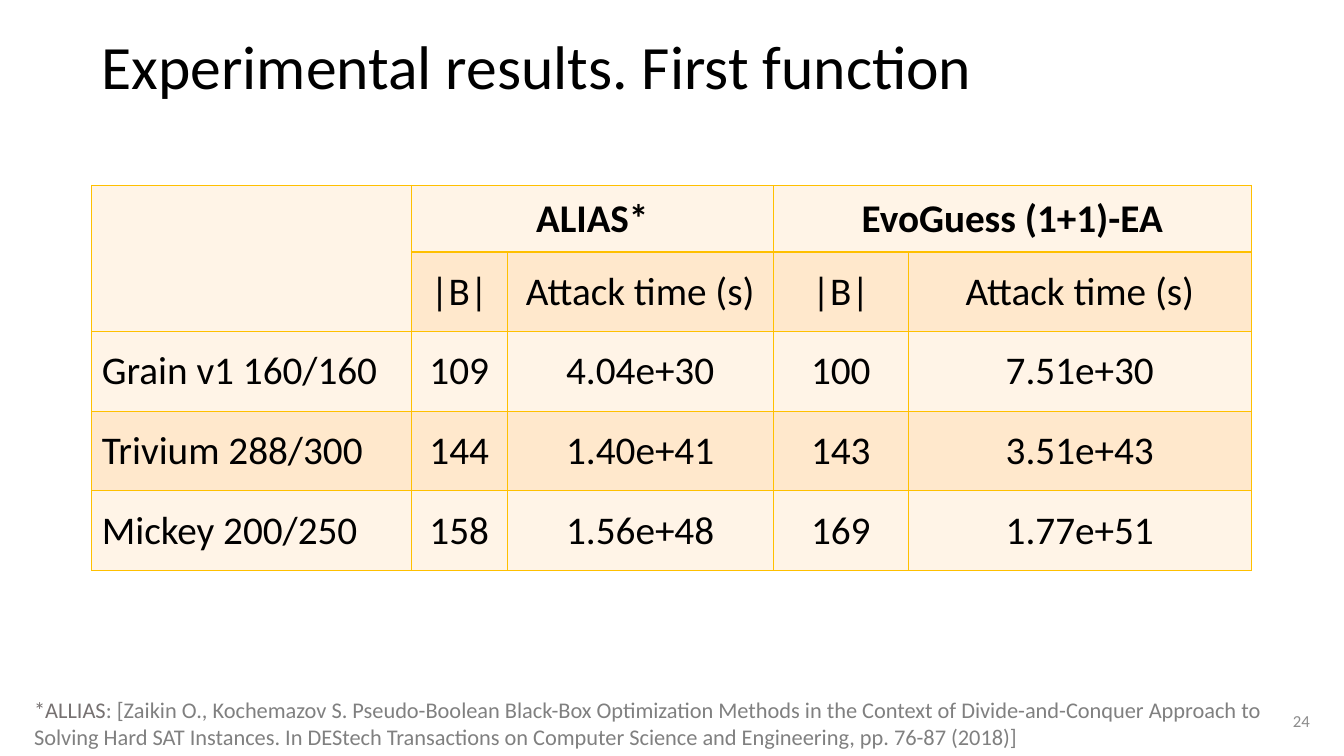
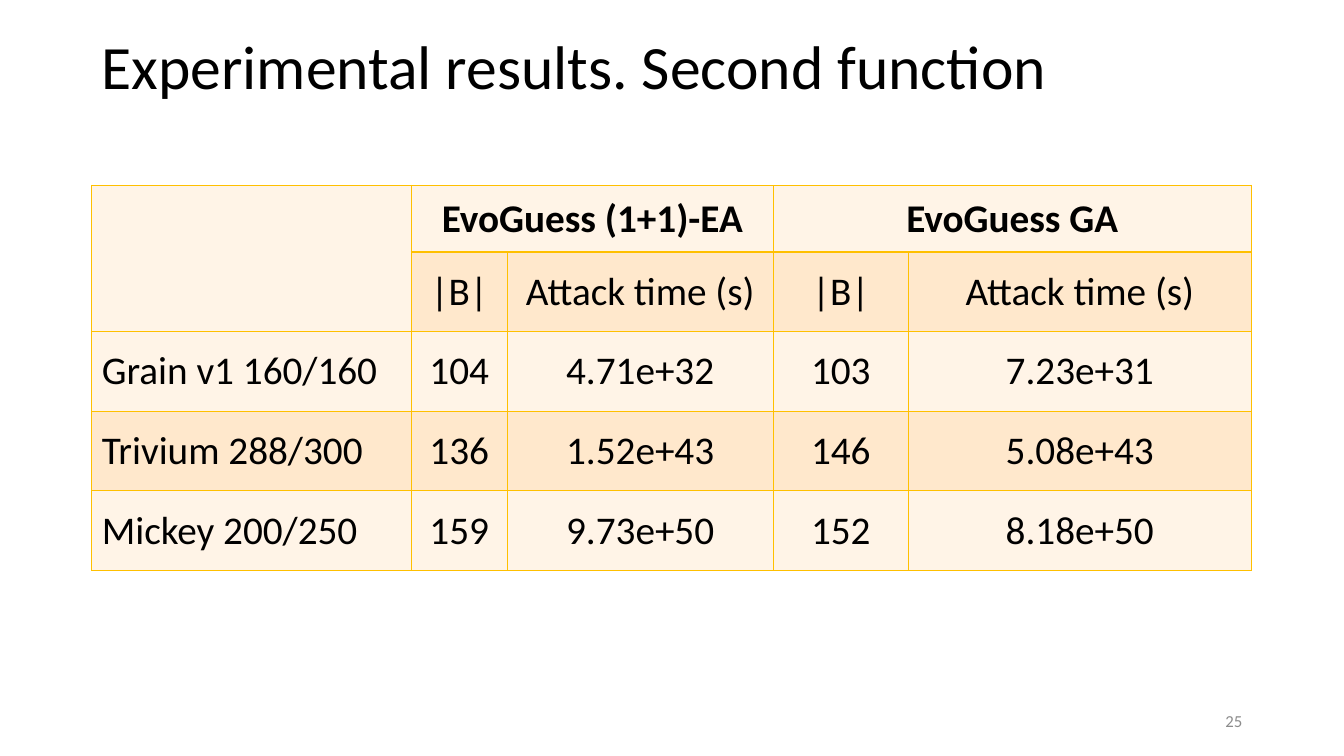
from lxml.etree import SubElement
from pptx import Presentation
from pptx.dml.color import RGBColor
from pptx.enum.text import MSO_ANCHOR, PP_ALIGN
from pptx.oxml.ns import qn
from pptx.util import Inches, Pt

# Content
NAMES = ["Grain v1 160/160", "Trivium 288/300", "Mickey 200/250"]
PAIR = ["|B|", "Attack time (s)"]
NOTE = [
    ("*ALLIAS", "note"),
    (": [Zaikin O., Kochemazov S. Pseudo-Boolean Black-Box Optimization "
     "Methods in the Context of Divide-and-Conquer Approach to Solving Hard "
     "SAT Instances. In DEStech Transactions on Computer Science and "
     "Engineering, pp. 76-87 (2018)]", "cite"),
]
SLIDES = [
    dict(title="Experimental results. First function", page="24", right=13.09,
         heads=["ALIAS*", "EvoGuess (1+1)-EA"], note=NOTE,
         data=[["109", "4.04e+30", "100", "7.51e+30"],
               ["144", "1.40e+41", "143", "3.51e+43"],
               ["158", "1.56e+48", "169", "1.77e+51"]]),
    dict(title="Experimental results. Second function", page="25", right=12.42,
         heads=["EvoGuess (1+1)-EA", "EvoGuess GA"], note=None,
         data=[["104", "4.71e+32", "103", "7.23e+31"],
               ["136", "1.52e+43", "146", "5.08e+43"],
               ["159", "9.73e+50", "152", "8.18e+50"]]),
]

# Shared style
FONT = "Calibri"
HEX = dict(text="000000", pale="FFF4E7", band="FFE8CC", rule="FFC000",
           page="8C8C8C", note="767171", cite="808080")
LEFT, WIDE = 0.91, 11.5
COLS = [3.17, 0.95, 2.64, 1.34, 3.4]
ROWS = [0.66] + [0.79] * 4


def color(key):
    return RGBColor.from_string(HEX[key])


def write(frame, text, size, tone="text", bold=False, align=PP_ALIGN.LEFT,
          space=None):
    """Fill a frame with a string or a list of (string, colour) runs."""
    frame.word_wrap = True
    para = frame.paragraphs[0]
    para.alignment = align
    if space:
        para.line_spacing = space
    for part, key in [(text, tone)] if isinstance(text, str) else text:
        run = para.add_run()
        run.text = part
        font = run.font
        font.name, font.size, font.bold = FONT, Pt(size), bold
        font.color.rgb = color(key)


def label(slide, box, text, size, anchor=MSO_ANCHOR.MIDDLE, **style):
    frame = slide.shapes.add_textbox(*map(Inches, box)).text_frame
    frame.vertical_anchor = anchor
    write(frame, text, size, **style)


def border(cell):
    props = cell._tc.get_or_add_tcPr()
    for side in "LRTB":
        line = SubElement(props, qn("a:ln" + side), w=str(Pt(1)))
        fill = SubElement(line, qn("a:solidFill"))
        SubElement(fill, qn("a:srgbClr"), val=HEX["rule"])


def results(slide, heads, data):
    grid = [["", heads[0], "", heads[1], ""], ["", *PAIR, *PAIR]]
    grid += [[name, *vals] for name, vals in zip(NAMES, data)]
    box = map(Inches, (LEFT, 1.84, WIDE, sum(ROWS)))
    table = slide.shapes.add_table(len(ROWS), len(COLS), *box).table
    table.first_row = table.horz_banding = False
    for col, width in zip(table.columns, COLS):
        col.width = Inches(width)
    for row, height in zip(table.rows, ROWS):
        row.height = Inches(height)

    for r, line in enumerate(grid):
        for c, text in enumerate(line):
            cell = table.cell(r, c)
            border(cell)
            cell.fill.solid()
            cell.fill.fore_color.rgb = color("band" if r % 2 and (r > 1 or c)
                                             else "pale")
            cell.vertical_anchor = MSO_ANCHOR.MIDDLE
            if c in (1, 2):
                cell.margin_left = cell.margin_right = Inches(0.05)
                cell.margin_top = cell.margin_bottom = Inches(0.01)
            if text:
                write(cell.text_frame, text, 28, bold=r == 0,
                      align=PP_ALIGN.CENTER if c else PP_ALIGN.LEFT)

    # Merged headings
    table.cell(0, 0).merge(table.cell(1, 0))
    for c in (1, 3):
        table.cell(0, c).merge(table.cell(0, c + 1))


def build(deck, item):
    slide = deck.slides.add_slide(deck.slide_layouts[6])
    label(slide, (LEFT, 0.26, WIDE, 0.86), item["title"], 44, space=0.9)
    results(slide, item["heads"], item["data"])
    label(slide, (item["right"] - 3, 6.95, 3, 0.4), item["page"], 12,
          tone="page", align=PP_ALIGN.RIGHT)
    if item["note"]:
        label(slide, (0.24, 6.86, 12.86, 0.64), item["note"], 16,
              anchor=MSO_ANCHOR.TOP)


def main():
    deck = Presentation()
    deck.slide_width, deck.slide_height = Inches(13.33), Inches(7.5)
    for item in SLIDES:
        build(deck, item)
    deck.save("out.pptx")


if __name__ == "__main__":
    main()
